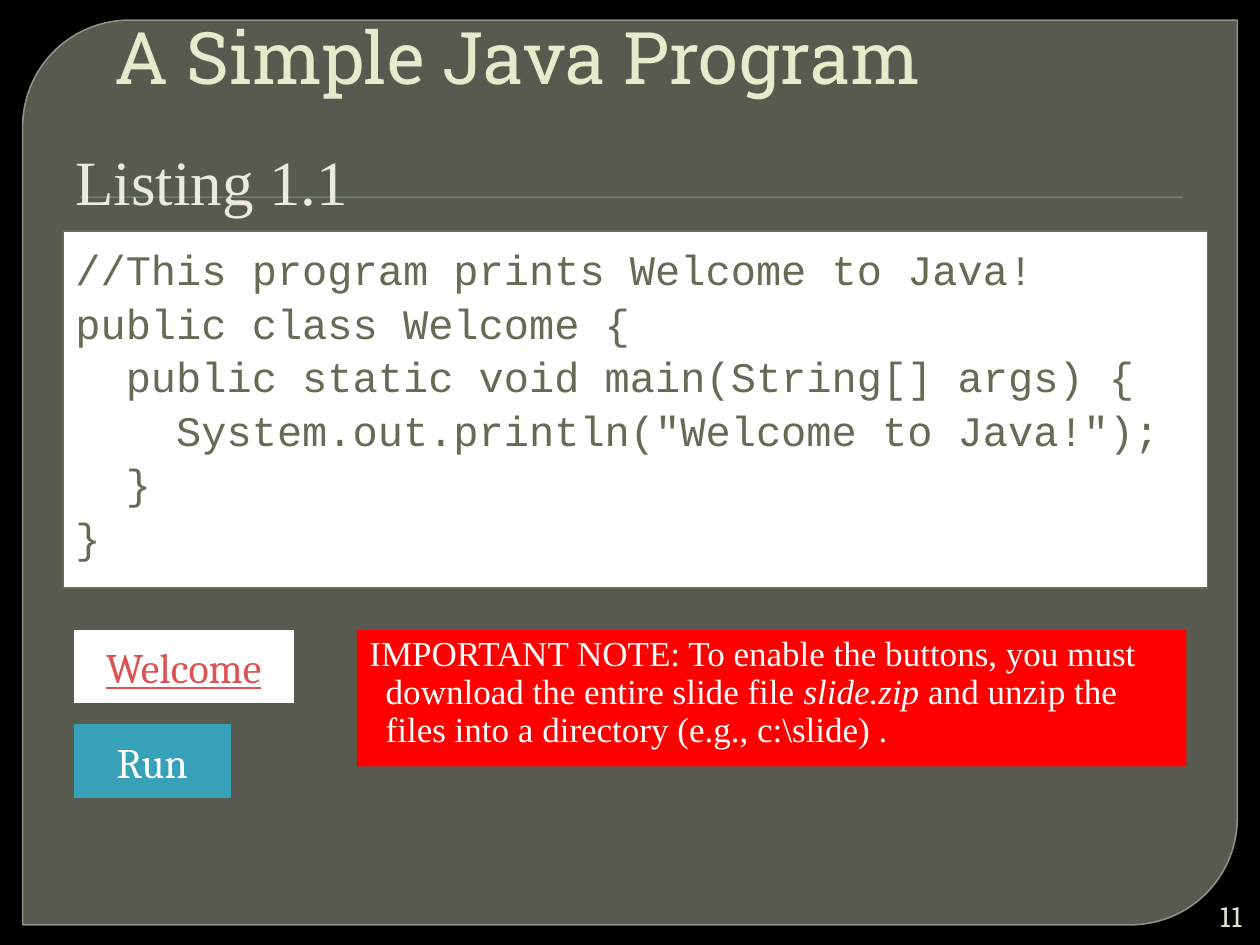
from lxml.etree import SubElement
from pptx import Presentation
from pptx.dml.color import RGBColor
from pptx.enum.shapes import MSO_SHAPE as Shape
from pptx.enum.text import MSO_ANCHOR as Anchor, PP_ALIGN as Align
from pptx.oxml.ns import qn
from pptx.util import Inches, Pt

COLS, ROWS = 120, 90
CODE = [
    "//This program prints Welcome to Java! ",
    "public class Welcome {",
    "  public static void main(String[] args) { ",
    '    System.out.println("Welcome to Java!");',
    "  }",
    "}",
]
NOTE = [
    ("IMPORTANT NOTE: To enable the buttons, you must download the entire slide file ", False),
    ("slide.zip", True),
    (" and unzip the files into a directory (e.g., c:\\slide) . ", False),
]

prs = Presentation()
prs.slide_width, prs.slide_height = Inches(10), Inches(7.5)
s = prs.slides.add_slide(prs.slide_layouts[6])


def rgb(value):
    return RGBColor.from_string(value)


def grid(box):
    x, y, w, h = box
    col, row = prs.slide_width / COLS, prs.slide_height / ROWS
    return int(x * col), int(y * row), int(w * col), int(h * row)


def set_alpha(fill_owner, percent):
    for color in fill_owner.iter(qn("a:srgbClr")):
        SubElement(color, qn("a:alpha"), val=str(percent * 1000))


def add_box(box, fill, kind=Shape.RECTANGLE, line=None, width=0.75):
    sp = s.shapes.add_shape(kind, *grid(box))
    sp.shadow.inherit = False
    sp.fill.solid()
    sp.fill.fore_color.rgb = rgb(fill)
    if line:
        sp.line.color.rgb = rgb(line)
        sp.line.width = Pt(width)
    else:
        sp.line.fill.background()
    return sp


def add_label(box):
    return s.shapes.add_textbox(*grid(box))


def write(sp, paragraphs, font, size, color, align=Align.LEFT, anchor=Anchor.TOP,
          wrap=True, underline=None, before=0, spacing=None, margin=0, indent=0, top=0.05):
    tf = sp.text_frame
    tf.word_wrap = wrap
    tf.vertical_anchor = anchor
    tf.margin_top = Inches(top)
    for i, runs in enumerate(paragraphs):
        p = tf.paragraphs[0] if i == 0 else tf.add_paragraph()
        p.alignment = align
        p.space_before = Pt(before)
        if spacing:
            p.line_spacing = spacing
        pPr = p._p.get_or_add_pPr()
        pPr.set("marL", str(Inches(margin)))
        pPr.set("indent", str(Inches(indent)))
        for text, italic in runs:
            r = p.add_run()
            r.text = text
            r.font.name, r.font.size = font, Pt(size)
            r.font.color.rgb = rgb(color)
            r.font.italic, r.font.underline = italic, underline


def plain(*lines):
    return [[(line, None)] for line in lines]


def add_backdrop(box):
    x, y, w, h = box
    s.background.fill.solid()
    s.background.fill.fore_color.rgb = rgb("000000")
    panel = add_box(box, "888B7B", Shape.ROUND_2_DIAG_RECTANGLE, "9DA090", 0.87)
    panel.adjustments[0], panel.adjustments[1] = 0.118, 0
    set_alpha(panel.fill._xPr.find(qn("a:solidFill")), 65)
    set_alpha(panel.line._ln, 88)
    add_box((x + 5.5, y + 16.8, w - 10.7, 0.12), "72A376")


def add_heading(box):
    x, y, w, h = box
    write(add_label((x + 3, y, w, 8)), plain("A Simple Java Program"), "Roboto Slab", 41.4,
          "E7EACB", anchor=Anchor.BOTTOM, margin=0.06)
    write(add_label((x, y + 11, 46, h - 11)), plain("Listing 1.1"), "Times New Roman", 36,
          "EAEBDE", before=7.2)


def add_code(box):
    write(add_box(box, "FFFFFF", line="676A55"), plain(*CODE), "Courier New", 24, "676A55",
          before=1.8, margin=0.32, indent=-0.32, top=0.1)


def add_buttons(box):
    x, y, w, h = box
    buttons = [("Welcome", w, "FFFFFF", "DB5353", True), ("Run", w - 6, "38A1BA", "FFFFFF", None)]
    for i, (text, width, fill, color, underline) in enumerate(buttons):
        sp = add_box((x, y + i * (h - 7), width, 7), fill, Shape.ACTION_BUTTON_CUSTOM)
        write(sp, plain(text), "Cambria", 24, color, align=Align.CENTER, anchor=Anchor.MIDDLE,
              wrap=False, underline=underline)


def add_note(box):
    write(add_box(box, "FF0000"), [NOTE], "Times New Roman", 20, "FFFFFF", before=4,
          spacing=0.9, margin=0.13, indent=-0.13)


def add_page_number(box):
    write(add_label(box), plain("11"), "Roboto Slab", 16, "E0E0D4", align=Align.RIGHT,
          anchor=Anchor.MIDDLE)


add_backdrop((2.16, 1.92, 115.68, 86.16))
add_heading((6, 2, 102, 19.4))
add_code((6, 22, 109, 34))
add_buttons((7, 60, 21, 16))
add_note((34, 60, 79, 13))
add_page_number((113.4, 85.44, 6.12, 3.6))
prs.save("out.pptx")
